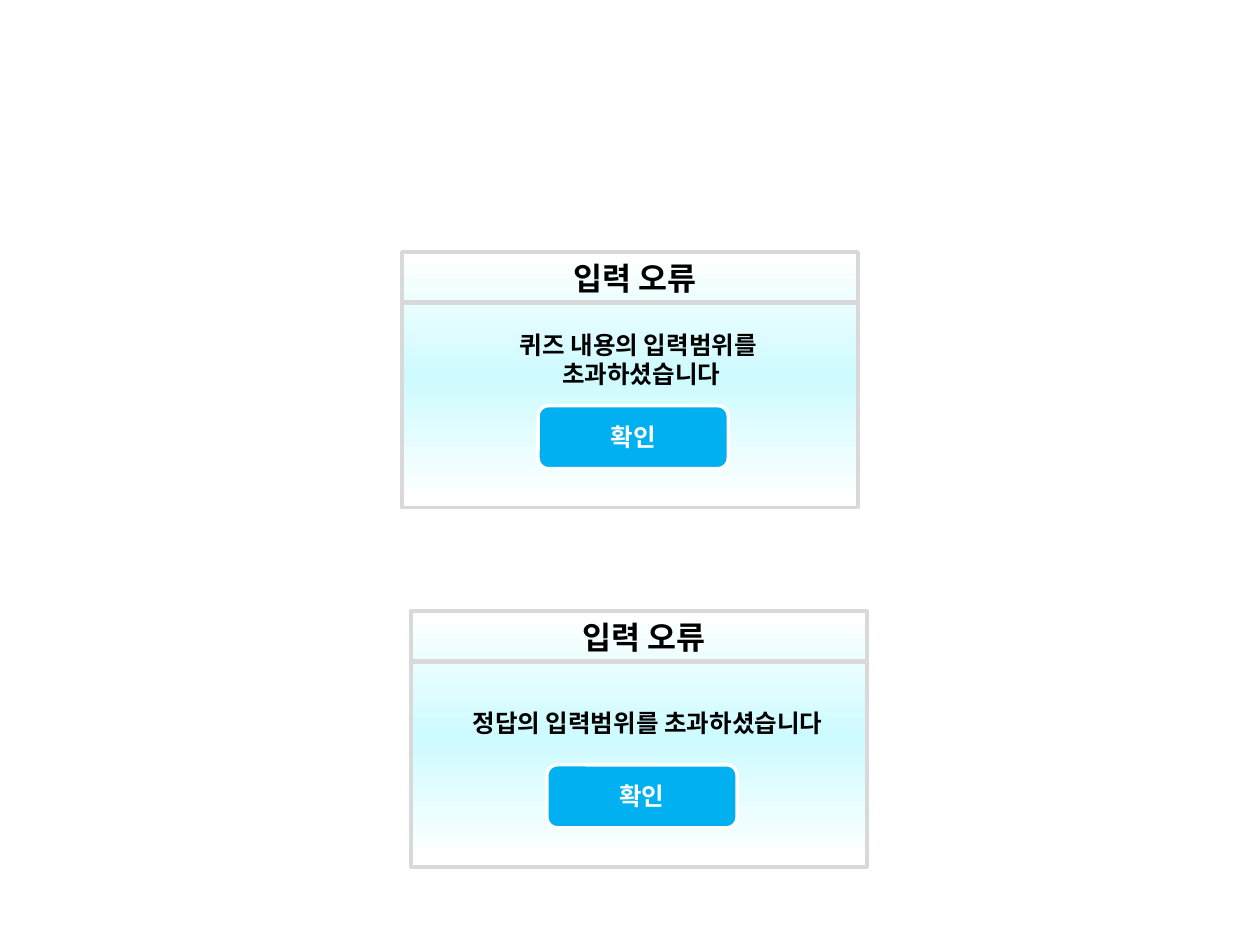
from lxml import etree
from pptx import Presentation
from pptx.dml.color import RGBColor
from pptx.enum.shapes import MSO_CONNECTOR, MSO_SHAPE
from pptx.enum.text import MSO_ANCHOR, PP_ALIGN
from pptx.oxml.ns import qn
from pptx.util import Inches, Pt

COLORS = {
    "white": "FFFFFF",
    "aqua": "CDFBFF",
    "border": "D9D9D9",
    "button": "00B0F0",
    "text": "000000",
}
FONT = "Noto Sans CJK KR"
PANEL_STOPS = [(1, "white"), (49, "aqua"), (98, "white")]
DIALOG_WIDTH, DIALOG_HEIGHT, HEADER_HEIGHT = 3.62, 2.03, 0.4


def color(name):
    return RGBColor.from_string(COLORS[name])


def set_vertical_gradient(fill, stops):
    fill.gradient()
    fill.gradient_angle = 270
    stop_list = fill._xPr.find(qn("a:gradFill")).find(qn("a:gsLst"))
    for old_stop in list(stop_list):
        stop_list.remove(old_stop)
    for percent, name in stops:
        stop = etree.SubElement(stop_list, qn("a:gs"), pos=str(percent * 1000))
        etree.SubElement(stop, qn("a:srgbClr"), val=COLORS[name])


def add_box(shapes, kind, left, top, width, height, line_name):
    shape = shapes.add_shape(kind, Inches(left), Inches(top), Inches(width), Inches(height))
    shape.shadow.inherit = False
    shape.line.color.rgb = color(line_name)
    shape.line.width = Pt(2)
    return shape


def add_divider(shapes, left, top, width):
    line = shapes.add_connector(MSO_CONNECTOR.STRAIGHT, Inches(left), Inches(top),
                                Inches(left + width), Inches(top))
    line.line.color.rgb = color("border")
    line.line.width = Pt(2.5)
    etree.SubElement(line._element.spPr, qn("a:effectLst"))


def add_text(shapes, lines, left, top, width, height, size=14, color_name="text"):
    box = shapes.add_textbox(Inches(left), Inches(top), Inches(width), Inches(height))
    frame = box.text_frame
    frame.word_wrap = True
    frame.vertical_anchor = MSO_ANCHOR.MIDDLE
    for index, text in enumerate(lines):
        paragraph = frame.add_paragraph() if index else frame.paragraphs[0]
        paragraph.alignment = PP_ALIGN.CENTER
        paragraph.line_spacing = Pt(round(size * 1.18, 1))
        run = paragraph.add_run()
        run.text = text
        run.font.size = Pt(size)
        run.font.bold = True
        run.font.color.rgb = color(color_name)
        run.font.name = FONT
        # Hangul takes the East Asian typeface
        etree.SubElement(run.font._element, qn("a:ea"), typeface=FONT)


def add_button(shapes, label, left, top):
    group = shapes.add_group_shape()
    button = add_box(group.shapes, MSO_SHAPE.ROUNDED_RECTANGLE, left, top, 1.51, 0.5, "white")
    button.fill.solid()
    button.fill.fore_color.rgb = color("button")
    add_text(group.shapes, [label], left + 0.27, top + 0.08, 0.97, 0.34, color_name="white")


def add_dialog(slide, left, top, message, message_box):
    shapes = slide.shapes.add_group_shape().shapes
    # Panel and header
    panel = add_box(shapes, MSO_SHAPE.RECTANGLE, left, top, DIALOG_WIDTH, DIALOG_HEIGHT, "border")
    set_vertical_gradient(panel.fill, PANEL_STOPS)
    add_divider(shapes, left, top + HEADER_HEIGHT, DIALOG_WIDTH)
    add_text(shapes, ["입력 오류"], left + 0.55, top + 0.01, 2.6, 0.4, size=18)
    # Message and confirmation
    add_text(shapes, message, *message_box)
    add_button(shapes, "확인", left + 1.08, top + 1.22)


def main():
    presentation = Presentation()
    presentation.slide_width = Inches(10)
    presentation.slide_height = Inches(7.5)
    slide = presentation.slides.add_slide(presentation.slide_layouts[6])

    add_dialog(slide, 3.19, 2, ["퀴즈 내용의 입력범위를 ", "초과하셨습니다"],
               (3.35, 2.57, 3.48, 0.57))
    add_dialog(slide, 3.26, 4.85, ["정답의 입력범위를 초과하셨습니다"],
               (3.4, 5.57, 3.48, 0.34))

    presentation.save("out.pptx")


if __name__ == "__main__":
    main()
